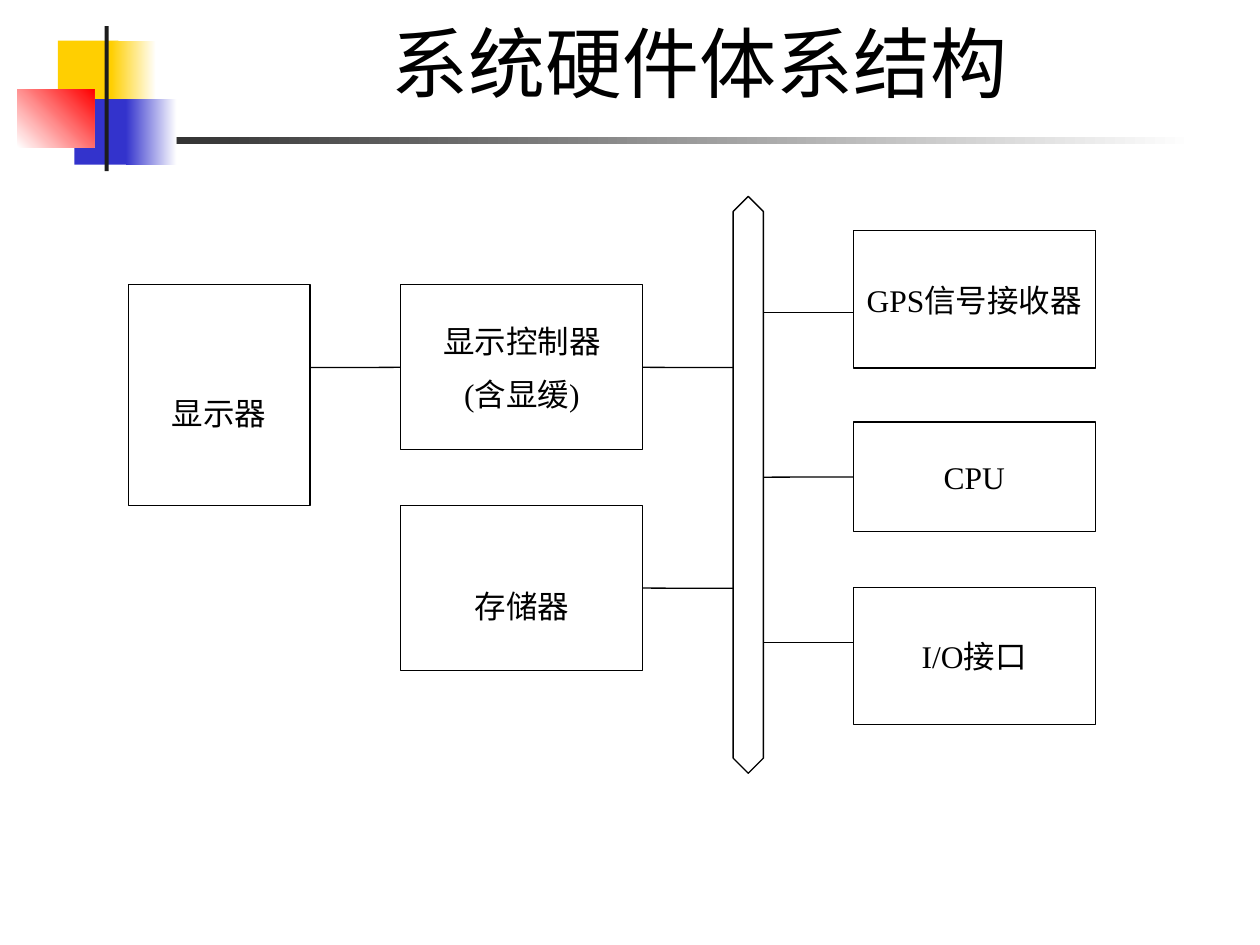
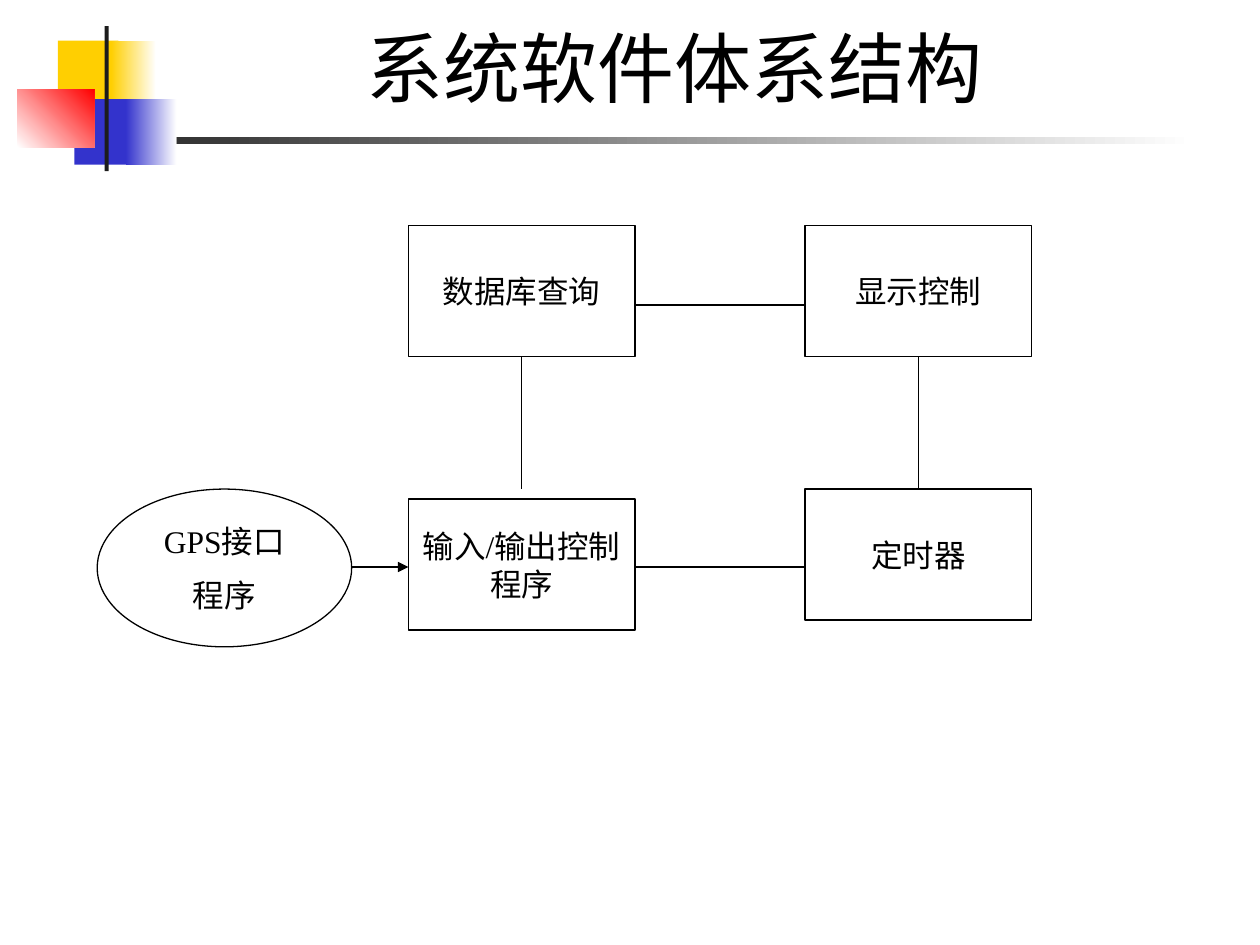
from dataclasses import dataclass
from typing import NamedTuple

from lxml import etree
from pptx import Presentation
from pptx.dml.color import RGBColor
from pptx.enum import shapes as es, text as et
from pptx.oxml import ns
from pptx.util import Cm, Pt

HUES = {"ink": "000000", "paper": "FFFFFF", "dark": "1C1C1C",
        "gold": "FFCF01", "blue": "3333CC", "red": "FF0000"}
KIND = es.MSO_SHAPE
TOP, LEFT, LOW, RIGHT = range(4)


class Area(NamedTuple):
    x: float
    y: float
    w: float
    h: float

    def size(self) -> list:
        return [Cm(v) for v in self]


class Join(NamedTuple):
    name: str
    side: int


@dataclass
class Block:
    area: Area
    start: str
    stop: str = ""
    angle: int = 0


@dataclass
class Node:
    area: Area
    text: str = ""
    kind: int = KIND.RECTANGLE
    inset: float = 0.13
    bends: tuple = ()


@dataclass
class Link:
    x1: float
    y1: float
    x2: float
    y2: float
    start: Join | None = None
    stop: Join | None = None
    arrow: bool = False


@dataclass
class Page:
    title: str
    area: Area
    nodes: list
    links: list


BLOCKS = [
    Block(Area(1.22, 2.77, 22.86, 0.13), "dark", "paper"),
    Block(Area(1.17, 0.82, 1.22, 1.32), "gold"),
    Block(Area(2.24, 0.82, 0.91, 1.32), "gold", "paper"),
    Block(Area(1.5, 2, 1.17, 1.32), "blue"),
    Block(Area(2.54, 2, 1.02, 1.32), "blue", "paper"),
    Block(Area(0.35, 1.8, 1.55, 1.17), "paper", "red", 45),
    Block(Area(2.11, 0.53, 0.08, 2.92), "dark"),
]

MID, FAR = 8.08, 17.2
WIDE, TALL = 4.88, 3.33
BUS = Area(14.78, 3.96, 0.61, 11.63)
BUS_END = BUS.x + BUS.w
MID_END = MID + WIDE

COLS, CELL_W, CELL_H = (8.23, 16.23), 4.57, 2.64
HUBS = [x + CELL_W / 2 for x in COLS]
HIGH, BASE = 4.55, 9.86
FLOW = 11.43


def cell(col: int, y: float, text: str) -> Node:
    return Node(Area(COLS[col], y, CELL_W, CELL_H), text)


PAGES = [
    Page("系统硬件体系结构 ", Area(3.81, 0, 20.96, 2.49), [
        Node(Area(2.59, 5.74, 3.66, 4.45), "显示器", inset=0.84),
        Node(Area(MID, 5.74, WIDE, TALL), "显示控制器\n(含显缓)"),
        Node(Area(MID, 10.19, WIDE, TALL), "存储器", inset=0.84),
        Node(BUS, kind=KIND.UP_DOWN_ARROW, bends=(0.5, 3.64)),
        Node(Area(FAR, 4.65, WIDE, 2.77), "GPS信号接收器"),
        Node(Area(FAR, 8.51, WIDE, 2.21), "CPU"),
        Node(Area(FAR, 11.84, WIDE, 2.77), "I/O接口"),
    ], [
        Link(6.25, 7.41, MID, 7.41, stop=Join("显示控制器\n(含显缓)", LEFT)),
        Link(MID_END, 7.41, BUS.x, 7.41, Join("显示控制器\n(含显缓)", RIGHT)),
        Link(MID_END, 11.86, BUS.x, 11.86, Join("存储器", RIGHT)),
        Link(BUS_END, 6.3, FAR, 6.3),
        Link(BUS_END, 9.62, FAR, 9.62, stop=Join("CPU", LEFT)),
        Link(BUS_END, 12.95, FAR, 12.95),
    ]),
    Page("系统软件体系结构", Area(3.12, 0, 20.96, 2.67), [
        Node(Area(1.96, BASE, 5.13, 3.18), "GPS接口\n程序", KIND.OVAL),
        cell(0, HIGH, "数据库查询"),
        cell(0, 10.06, "输入/输出控制程序"),
        cell(1, HIGH, "显示控制"),
        cell(1, BASE, "定时器"),
    ], [
        Link(HUBS[0], HIGH + CELL_H, HUBS[0], BASE, Join("数据库查询", LOW)),
        Link(COLS[0] + CELL_W, FLOW, COLS[1], FLOW),
        Link(COLS[0] + CELL_W, 6.15, COLS[1], 6.15),
        Link(HUBS[1], HIGH + CELL_H, HUBS[1], BASE,
             Join("显示控制", LOW), Join("定时器", TOP)),
        Link(7.09, FLOW, COLS[0], FLOW, arrow=True),
    ]),
]


def hue(name: str) -> RGBColor:
    return RGBColor.from_string(HUES[name])


def write(frame, text: str, *, font: str, size: int, gap: float = 0,
          inset: float = 0.13) -> None:
    frame.word_wrap = True
    frame.auto_size = et.MSO_AUTO_SIZE.NONE
    frame.vertical_anchor = et.MSO_ANCHOR.MIDDLE
    frame.margin_top = Cm(inset)
    for i, line in enumerate(text.split("\n")):
        para = frame.add_paragraph() if i else frame.paragraphs[0]
        para.alignment = et.PP_ALIGN.CENTER
        para.space_before = Pt(gap if i else 0)
        run = para.add_run()
        run.text = line
        run.font.name = font
        run.font.size = Pt(size)
        run.font.color.rgb = hue("ink")


def outline(line) -> None:
    line.color.rgb = hue("ink")
    line.width = Pt(0.75)


def add_block(slide, block: Block):
    shape = slide.shapes.add_shape(KIND.RECTANGLE, *block.area.size())
    shape.shadow.inherit = False
    shape.line.fill.background()
    if block.stop:
        shape.fill.gradient()
        shape.fill.gradient_angle = block.angle
        for stop, name in zip(shape.fill.gradient_stops,
                              (block.start, block.stop)):
            stop.color.rgb = hue(name)
    else:
        shape.fill.solid()
        shape.fill.fore_color.rgb = hue(block.start)
    return shape


def dress(layout, slide) -> None:
    tree = layout.shapes.element
    for i, block in enumerate(BLOCKS):
        tree.insert(2 + i, add_block(slide, block).element)


def add_node(slide, node: Node):
    shape = slide.shapes.add_shape(node.kind, *node.area.size())
    shape.shadow.inherit = False
    shape.fill.solid()
    shape.fill.fore_color.rgb = hue("paper")
    outline(shape.line)
    for i, bend in enumerate(node.bends):
        shape.adjustments[i] = bend
    if node.text:
        write(shape.text_frame, node.text, font="Times New Roman", size=18,
              gap=9, inset=node.inset)
    return shape


def add_link(slide, link: Link, nodes: dict) -> None:
    ends = [Cm(v) for v in (link.x1, link.y1, link.x2, link.y2)]
    wire = slide.shapes.add_connector(es.MSO_CONNECTOR.STRAIGHT, *ends)
    if link.start:
        wire.begin_connect(nodes[link.start.name], link.start.side)
    if link.stop:
        wire.end_connect(nodes[link.stop.name], link.stop.side)
    outline(wire.line)
    if link.arrow:
        etree.SubElement(wire.line._get_or_add_ln(), ns.qn("a:tailEnd"),
                         type="triangle")
    etree.SubElement(wire.element.spPr, ns.qn("a:effectLst"))


def add_page(slide, page: Page) -> None:
    title = slide.shapes.title
    title.left, title.top, title.width, title.height = page.area.size()
    write(title.text_frame, page.title, font="Arial", size=44)
    nodes = {node.text: add_node(slide, node) for node in page.nodes}
    for link in page.links:
        add_link(slide, link, nodes)


def main() -> None:
    deck = Presentation()
    deck.slide_width, deck.slide_height = Cm(25.4), Cm(19.05)
    layout = deck.slide_layouts.get_by_name("Title Only")
    slides = [deck.slides.add_slide(layout) for _ in PAGES]
    dress(layout, slides[0])
    for slide, page in zip(slides, PAGES):
        add_page(slide, page)
    deck.save("out.pptx")


if __name__ == "__main__":
    main()
